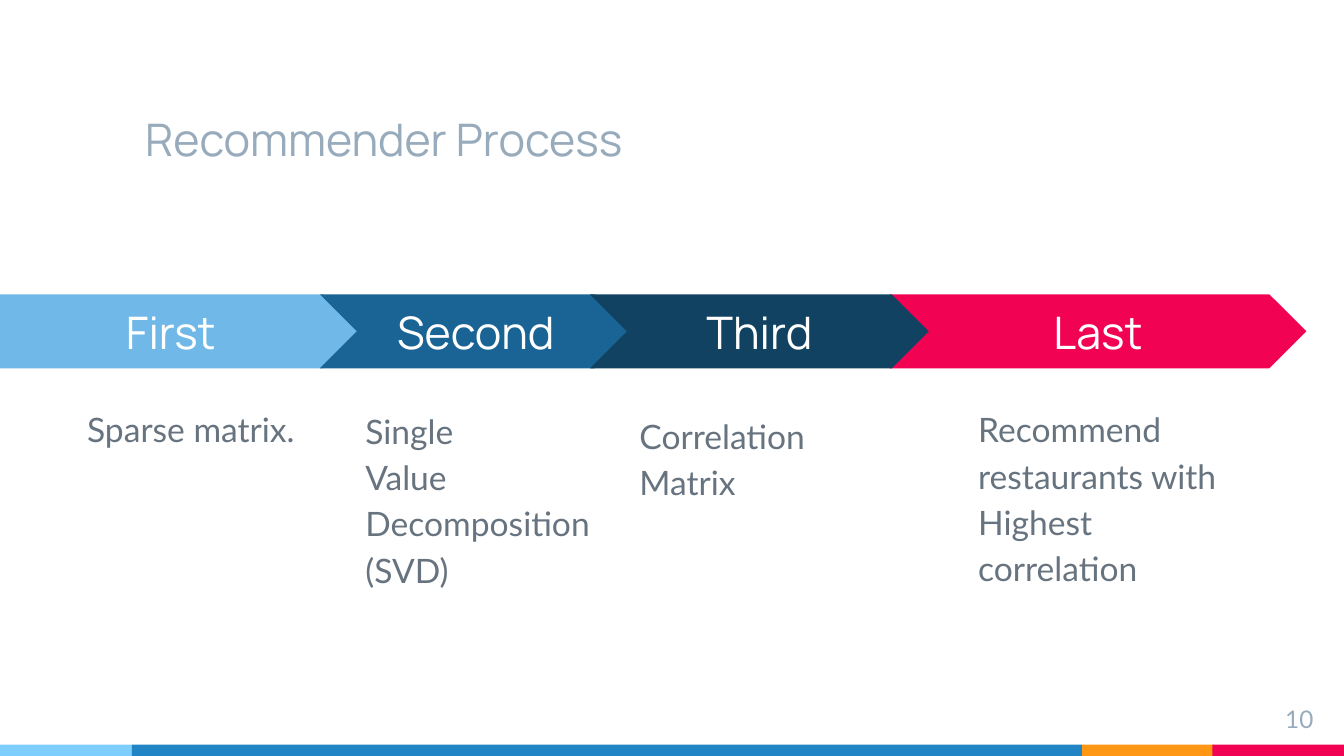
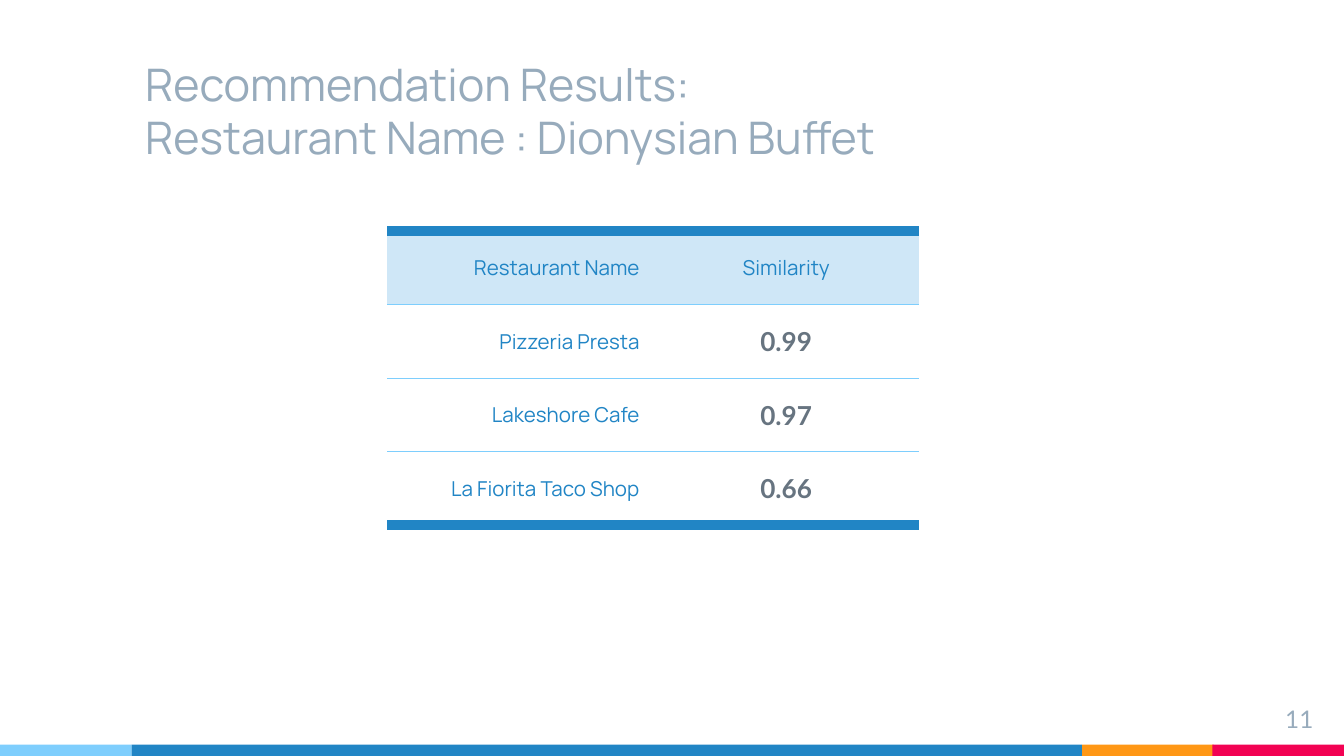
from lxml import etree
from pptx import Presentation
from pptx.dml.color import RGBColor
from pptx.enum import shapes, text
from pptx.oxml import ns
from pptx.util import Inches, Pt

HUES = {
    "sky": "7ECEFD", "blue": "2185C5", "gold": "FF9715", "pink": "F20253",
    "pale": "CFE7F7", "light": "6FB8E7", "mid": "196494", "navy": "114262",
    "grey": "97ABBC", "slate": "677480", "white": "FFFFFF",
}
HEAD, BODY = "Manrope", "Lato"
LEFT, MID, RIGHT = text.PP_ALIGN.LEFT, text.PP_ALIGN.CENTER, text.PP_ALIGN.RIGHT
TOP, CENTER, BASE = text.MSO_ANCHOR.TOP, text.MSO_ANCHOR.MIDDLE, text.MSO_ANCHOR.BOTTOM
KIND = shapes.MSO_SHAPE
PLAIN = "{2D5ABB26-0587-4C30-8999-92F81FD0307C}"
BANDS = [("gold", 8.05, 0.98), ("pink", 9.02, 0.98), ("sky", 0, 0.98), ("blue", 0.98, 7.07)]
STEPS = [
    ("Last", KIND.CHEVRON, "pink", 6.62, 3.1,
     "Recommend restaurants with Highest correlation", (7.18, 2.9, 2.1)),
    ("First", KIND.PENTAGON, "light", 0, 2.68, "Sparse matrix.", (0.55, 2.9, 1.89)),
    ("Second", KIND.CHEVRON, "mid", 2.38, 2.32,
     "Single\nValue Decomposition\n(SVD)", (2.62, 2.91, 1.89)),
    ("Third", KIND.CHEVRON, "navy", 4.39, 2.52, "Correlation Matrix", (4.66, 2.95, 2.06)),
]
ROWS = [
    ("Restaurant Name", "Similarity"),
    ("Pizzeria Presta", "0.99"),
    ("Lakeshore Cafe", "0.97"),
    ("La Fiorita Taco Shop", "0.66"),
]


def tint(name):
    return RGBColor.from_string(HUES[name])


def style(frame, size, face, hue, align=LEFT, bold=False, lead=None):
    for para in frame.paragraphs:
        para.alignment = align
        para.line_spacing = lead
        for run in para.runs:
            run.font.size = Pt(size)
            run.font.name = face
            run.font.bold = bold
            run.font.color.rgb = tint(hue)


def fit(frame, anchor):
    frame.word_wrap = True
    frame.auto_size = text.MSO_AUTO_SIZE.NONE
    frame.vertical_anchor = anchor
    frame.margin_left = frame.margin_right = Inches(0.1)
    frame.margin_top = frame.margin_bottom = Inches(0.1)


def add_block(slide, kind, hue, x, y, w, h):
    block = slide.shapes.add_shape(kind, Inches(x), Inches(y), Inches(w), Inches(h))
    block.shadow.inherit = False
    block.fill.solid()
    block.fill.fore_color.rgb = tint(hue)
    block.line.fill.background()
    return block


def add_text(slide, words, x, y, w, h, *look, **more):
    box = slide.shapes.add_textbox(Inches(x), Inches(y), Inches(w), Inches(h))
    frame = box.text_frame
    fit(frame, TOP)
    frame.text = words
    style(frame, *look, **more)


def add_bands(deck, slide):
    tree = deck.slide_master.shapes._spTree
    for hue, x, w in BANDS:
        band = add_block(slide, KIND.RECTANGLE, hue, x, 5.54, w, 0.09)
        tree.append(band._element)


def add_slide(deck, title, page, top):
    slide = deck.slides.add_slide(deck.slide_layouts[5])
    head = slide.shapes.title
    head.left, head.top = Inches(0.98), Inches(top)
    head.width, head.height = Inches(7.07), Inches(0.94)
    fit(head.text_frame, BASE)
    head.text_frame.text = title
    style(head.text_frame, 24, HEAD, "grey")
    add_text(slide, str(page), 9.27, 5.14, 0.6, 0.34, 13, BODY, "grey", RIGHT)
    return slide


def add_step(slide, label, kind, hue, x, w, words, spot):
    arrow = add_block(slide, kind, hue, x, 2.19, w, 0.55)
    arrow.adjustments[0] = 0.5
    fit(arrow.text_frame, CENTER)
    arrow.text_frame.text = label
    style(arrow.text_frame, 24, HEAD, "white", MID)
    add_text(slide, words, *spot, 2.15, 18, BODY, "slate", lead=1.15)


def add_edge(cell, side, hue, width):
    line = etree.SubElement(cell._tc.get_or_add_tcPr(), ns.qn("a:" + side), w=str(Pt(width)))
    fill = etree.SubElement(line, ns.qn("a:solidFill"))
    etree.SubElement(fill, ns.qn("a:srgbClr"), val=HUES[hue])


def add_grid(slide, rows):
    last = len(rows) - 1
    frame = slide.shapes.add_table(len(rows), 2, Inches(2.88), Inches(1.72),
                                   Inches(3.96), Inches(2.19))
    grid = frame.table
    grid.first_row = grid.horz_banding = False
    grid._tbl.tblPr[0].text = PLAIN
    for r, row in enumerate(rows):
        for c, words in enumerate(row):
            cell = grid.cell(r, c)
            cell.text = words
            cell.vertical_anchor = CENTER
            cell.margin_left = cell.margin_right = Inches(0.1)
            cell.margin_top = cell.margin_bottom = Inches(0.07)
            add_edge(cell, "lnT", *(("blue", 6) if r == 0 else ("sky", 0.75)))
            add_edge(cell, "lnB", *(("blue", 6) if r == last else ("sky", 0.75)))
            if r == 0:
                cell.fill.solid()
                cell.fill.fore_color.rgb = tint("pale")
            else:
                cell.fill.background()
            look = (14, BODY, "slate") if r and c else (11, HEAD, "blue")
            style(cell.text_frame, *look, MID if c else RIGHT, bool(r and c))


def main():
    deck = Presentation()
    deck.slide_width = Inches(10)
    deck.slide_height = deck.slide_width * 9 // 16
    flow = add_slide(deck, "Recommender Process", 10, 0.39)
    add_bands(deck, flow)
    for step in STEPS:
        add_step(flow, *step)
    found = add_slide(
        deck, "Recommendation Results:\vRestaurant Name : Dionysian Buffet", 11, 0.38)
    add_grid(found, ROWS)
    deck.save("out.pptx")


if __name__ == "__main__":
    main()
